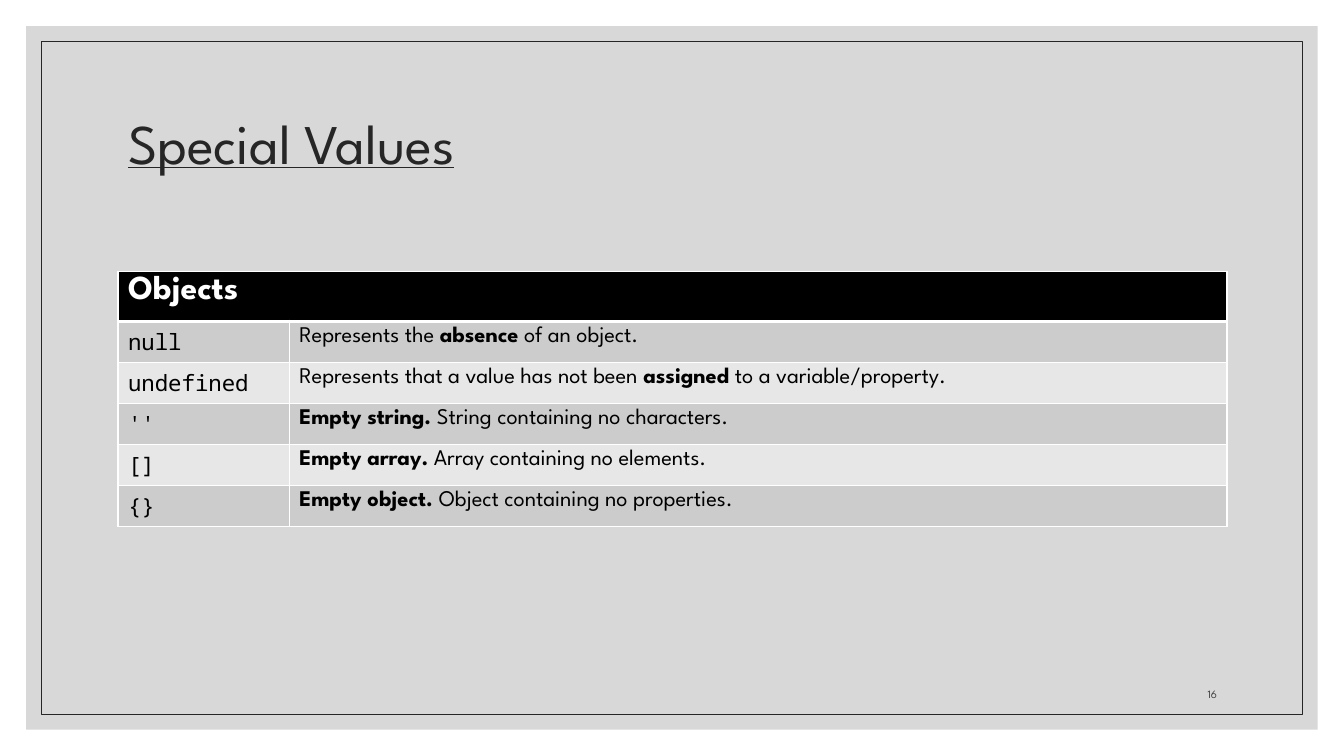
import pptx
import pptx.util
import pptx.dml.color
import pptx.enum.shapes
import pptx.enum.text
import pptx.oxml.ns
import lxml.etree

RGB = pptx.dml.color.RGBColor
WHITE = RGB(0xFF, 0xFF, 0xFF)
BLACK = RGB(0, 0, 0)
INK = RGB(0x26, 0x26, 0x26)
GREY = RGB(0x40, 0x40, 0x40)
PANEL = RGB(0xBF, 0xBF, 0xBF)
DARK = RGB(0xCC, 0xCC, 0xCC)
LIGHT = RGB(0xE7, 0xE7, 0xE7)
SANS = "League Spartan"
MONO = "Noto Sans Mono"
WIDE, HIGH = 13.33, 7.5
LEFT, SPAN = 1.17, 11

ROWS = [
    ("null", [("Represents the ", False), ("absence", True), (" of an object.", False)]),
    ("undefined", [("Represents that a value has not been ", False), ("assigned", True),
                   (" to a variable/property.", False)]),
    ("''", [("Empty string.", True), (" String containing no characters.", False)]),
    ("[]", [("Empty array.", True), (" Array containing no elements.", False)]),
    ("{}", [("Empty object. ", True), ("Object containing no properties.", False)]),
]


def inches(box):
    return [pptx.util.Inches(part) for part in box]


def add_run(para, text, size, color, face=SANS, bold=False):
    run = para.add_run()
    run.text = text
    font = run.font
    font.size = pptx.util.Pt(size)
    font.name = face
    font.bold = bold
    font.color.rgb = color
    return run


def add_node(parent, tag, **attrs):
    return lxml.etree.SubElement(parent, pptx.oxml.ns.qn(tag), attrs)


def add_rect(slide, inset):
    box = (inset, inset, WIDE - 2 * inset, HIGH - 2 * inset)
    rect = slide.shapes.add_shape(pptx.enum.shapes.MSO_SHAPE.RECTANGLE, *inches(box))
    rect.shadow.inherit = False
    return rect


def add_frame(slide):
    panel = add_rect(slide, 0.26)
    panel.fill.solid()
    panel.fill.fore_color.rgb = PANEL
    panel.line.fill.background()
    tint = next(panel.element.spPr.iter(pptx.oxml.ns.qn("a:srgbClr")))
    add_node(tint, "a:alpha", val="60000")
    edge = add_rect(slide, 0.41)
    edge.fill.background()
    edge.line.color.rgb = INK
    edge.line.width = pptx.util.Pt(0.5)


def add_title(slide, box):
    title = slide.shapes.title
    title.element.getparent().append(title.element)
    title.left, title.top, title.width, title.height = inches(box)
    frame = title.text_frame
    frame.word_wrap = True
    frame.vertical_anchor = pptx.enum.text.MSO_ANCHOR.MIDDLE
    para = frame.paragraphs[0]
    para.alignment = pptx.enum.text.PP_ALIGN.LEFT
    para.line_spacing = 0.9
    add_run(para, "Special Values", 40, INK).font.underline = True


def add_number(slide, box):
    frame = slide.shapes.add_textbox(*inches(box)).text_frame
    frame.word_wrap = True
    frame.vertical_anchor = pptx.enum.text.MSO_ANCHOR.BOTTOM
    para = frame.paragraphs[0]
    para.alignment = pptx.enum.text.PP_ALIGN.RIGHT
    add_run(para, "16", 8, GREY)


def style_cell(cell, color, base=1):
    props = cell._tc.get_or_add_tcPr()
    for side, width in (("L", 1), ("R", 1), ("T", 1), ("B", base)):
        line = add_node(props, "a:ln" + side, w=str(pptx.util.Pt(width)))
        add_node(add_node(line, "a:solidFill"), "a:srgbClr", val=str(WHITE))
    cell.fill.solid()
    cell.fill.fore_color.rgb = color


def add_grid(slide, box):
    count = len(ROWS) + 1
    table = slide.shapes.add_table(count, 2, *inches(box)).table
    for col, width in zip(table.columns, (1.7, box[2] - 1.7)):
        col.width = pptx.util.Inches(width)
    for row in table.rows:
        row.height = pptx.util.Inches(box[3] / count)
    head = table.cell(0, 0)
    head.merge(table.cell(0, 1))
    for col in range(2):
        style_cell(table.cell(0, col), BLACK, 3)
    add_run(head.text_frame.paragraphs[0], "Objects", 24, WHITE, bold=True)
    for row, (value, parts) in enumerate(ROWS, 1):
        name, note = table.cell(row, 0), table.cell(row, 1)
        for cell in (name, note):
            style_cell(cell, DARK if row % 2 else LIGHT)
        add_run(name.text_frame.paragraphs[0], value, 16, BLACK, MONO)
        for text, bold in parts:
            add_run(note.text_frame.paragraphs[0], text, 16, BLACK, bold=bold)


def main():
    deck = pptx.Presentation()
    deck.slide_width, deck.slide_height = inches((WIDE, HIGH))
    slide = deck.slides.add_slide(deck.slide_layouts[5])
    slide.background.fill.solid()
    slide.background.fill.fore_color.rgb = WHITE
    add_frame(slide)
    add_title(slide, (LEFT, 0.7, SPAN, 1.5))
    add_number(slide, (LEFT + SPAN - 0.92, 6.6, 0.92, 0.4))
    add_grid(slide, (LEFT, 2.69, SPAN, 2.44))
    deck.save("out.pptx")


if __name__ == "__main__":
    main()
